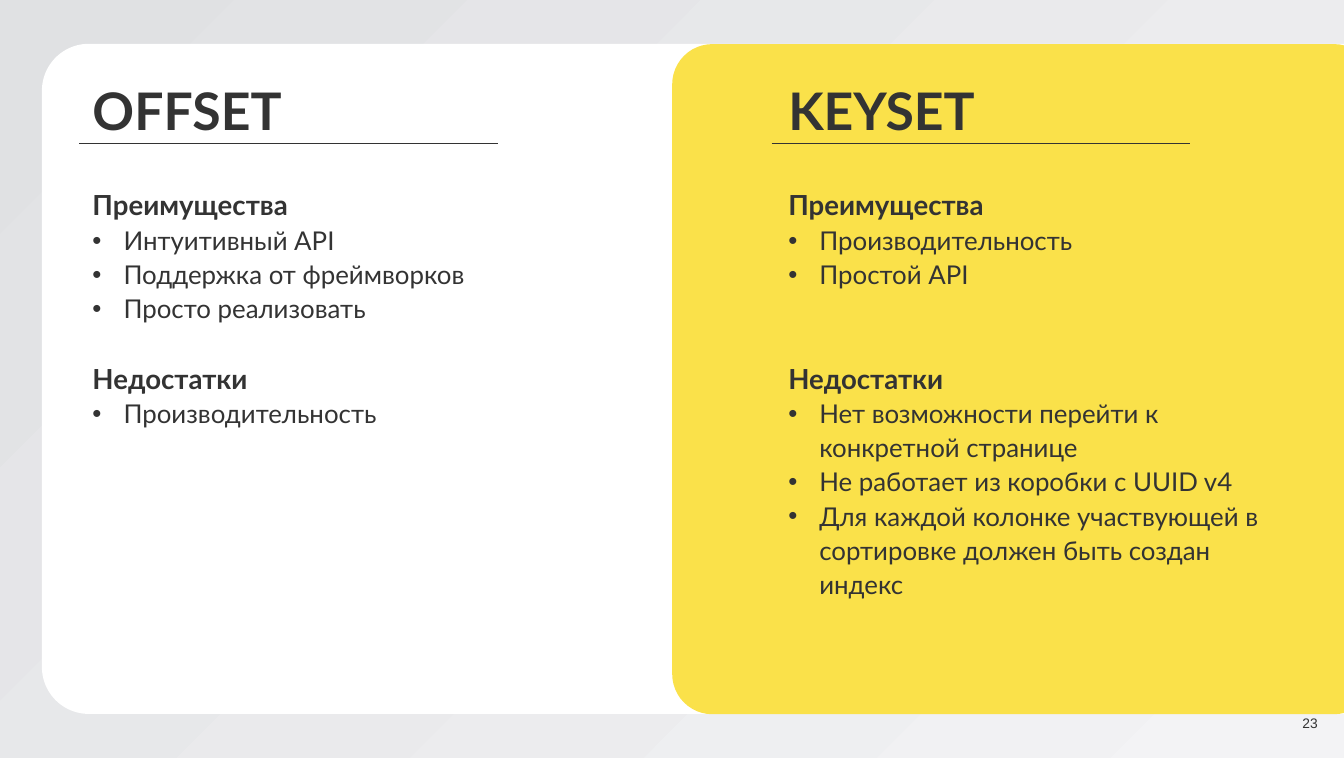
from lxml import etree
from pptx import Presentation
from pptx.dml.color import RGBColor
from pptx.enum import shapes, text
from pptx.oxml.ns import qn
from pptx.util import Cm, Inches, Pt

DARK = "333333"
BACKDROP = ("E0E1E3", "F3F3F5")
HEADING, ITEM = 32, 30
ITEM_LINE = ITEM * 1.2 * 1.1
COLUMNS = [
    {
        "title": "OFFSET", "left": 1.49, "rule": 1.28, "height": 4.58,
        "pros": ["Интуитивный API", "Поддержка от фреймворков", "Просто реализовать"],
        "cons": ["Производительность"],
    },
    {
        "title": "KEYSET", "left": 12.7, "rule": 12.43, "height": 7.32,
        "pros": ["Производительность", "Простой API"],
        "cons": [
            "Нет возможности перейти к конкретной странице",
            "Не работает из коробки с UUID v4",
            "Для каждой колонке участвующей в сортировке должен быть создан индекс",
        ],
    },
]
PROS_ROWS = max(len(column["pros"]) for column in COLUMNS)
LEFT = text.PP_ALIGN.LEFT
RIGHT = text.PP_ALIGN.RIGHT


def color(value):
    return RGBColor.from_string(value)


def assign(target, values):
    for name, value in values.items():
        setattr(target, name, value)


def place(box, left, top, width, height):
    assign(box, {"left": Inches(left), "top": Inches(top),
                 "width": Inches(width), "height": Inches(height)})


def prepare(box, anchor=text.MSO_ANCHOR.TOP):
    assign(box.text_frame, {
        "word_wrap": True, "auto_size": text.MSO_AUTO_SIZE.NONE,
        "vertical_anchor": anchor, "margin_left": 0, "margin_right": 0,
        "margin_top": 0, "margin_bottom": 0})
    return box.text_frame


def add_box(page, *area):
    return page.shapes.add_textbox(*map(Inches, area))


def write(para, words, size, bold=False, font="Lato", bullet=False, **layout):
    if bullet:
        props = para._p.get_or_add_pPr()
        props.set("marL", str(Inches(0.5)))
        props.set("indent", str(Inches(-0.5)))
        etree.SubElement(props, qn("a:buFont")).set("typeface", "Arial")
        etree.SubElement(props, qn("a:buChar")).set("char", "•")
    assign(para, {"alignment": LEFT, **layout})
    span = para.add_run()
    span.text = words
    assign(span.font, {"size": Pt(size), "bold": bold, "name": font})
    span.font.color.rgb = color(DARK)


def add_panel(page, kind, area, fill, adjustments, rotation=0):
    panel = page.shapes.add_shape(kind, *map(Inches, area))
    panel.rotation = rotation
    panel.shadow.inherit = False
    panel.fill.solid()
    panel.fill.fore_color.rgb = color(fill)
    panel.line.fill.background()
    for index, value in enumerate(adjustments):
        panel.adjustments[index] = value


def add_rule(page, left, top, width):
    rule = page.shapes.add_connector(
        shapes.MSO_CONNECTOR.STRAIGHT,
        Inches(left), Inches(top), Inches(left + width), Inches(top))
    rule.line.color.rgb = color(DARK)
    rule.line.width = Pt(1)
    etree.SubElement(rule._element.spPr, qn("a:effectLst"))


def add_column(page, column, heading_box):
    place(heading_box, column["left"], 1.38, 5.79, 0.93)
    write(prepare(heading_box).paragraphs[0], column["title"], 60, True, line_spacing=0.9)
    add_rule(page, column["rule"], 2.31, 6.74)

    frame = prepare(add_box(page, column["left"], 2.98, 7.91, column["height"]))
    gap = (PROS_ROWS - len(column["pros"]) + 1) * ITEM_LINE
    write(frame.paragraphs[0], "Преимущества", HEADING, True, line_spacing=1.1)
    for item in column["pros"]:
        write(frame.add_paragraph(), item, ITEM, bullet=True, line_spacing=1.1)
    write(frame.add_paragraph(), "Недостатки", HEADING, True,
          line_spacing=1.1, space_before=Pt(gap))
    for item in column["cons"]:
        write(frame.add_paragraph(), item, ITEM, bullet=True, line_spacing=1.1)


def main():
    deck = Presentation()
    assign(deck, {"slide_width": Cm(55), "slide_height": Cm(31)})
    page = deck.slides.add_slide(deck.slide_layouts[5])

    backdrop = page.background.fill
    backdrop.gradient()
    backdrop.gradient_angle = 315
    for stop, value in zip(backdrop.gradient_stops, BACKDROP):
        stop.color.rgb = color(value)

    add_panel(page, shapes.MSO_SHAPE.ROUND_2_SAME_RECTANGLE,
              (5.77, -4.39, 10.79, 20.98), "FFFFFF", (0.07, 0), 270)
    add_panel(page, shapes.MSO_SHAPE.ROUNDED_RECTANGLE,
              (10.83, 0.71, 11.31, 10.79), "FAE14A", (0.06,))

    title = page.shapes.title
    page.shapes._spTree.append(title._element)
    add_column(page, COLUMNS[0], title)
    add_column(page, COLUMNS[1], add_box(page, 0, 0, 1, 1))

    number = prepare(add_box(page, 20.06, 11.51, 1.17, 0.27), text.MSO_ANCHOR.MIDDLE)
    write(number.paragraphs[0], "23", 16, font="Arial", alignment=RIGHT)
    deck.save("out.pptx")


if __name__ == "__main__":
    main()
